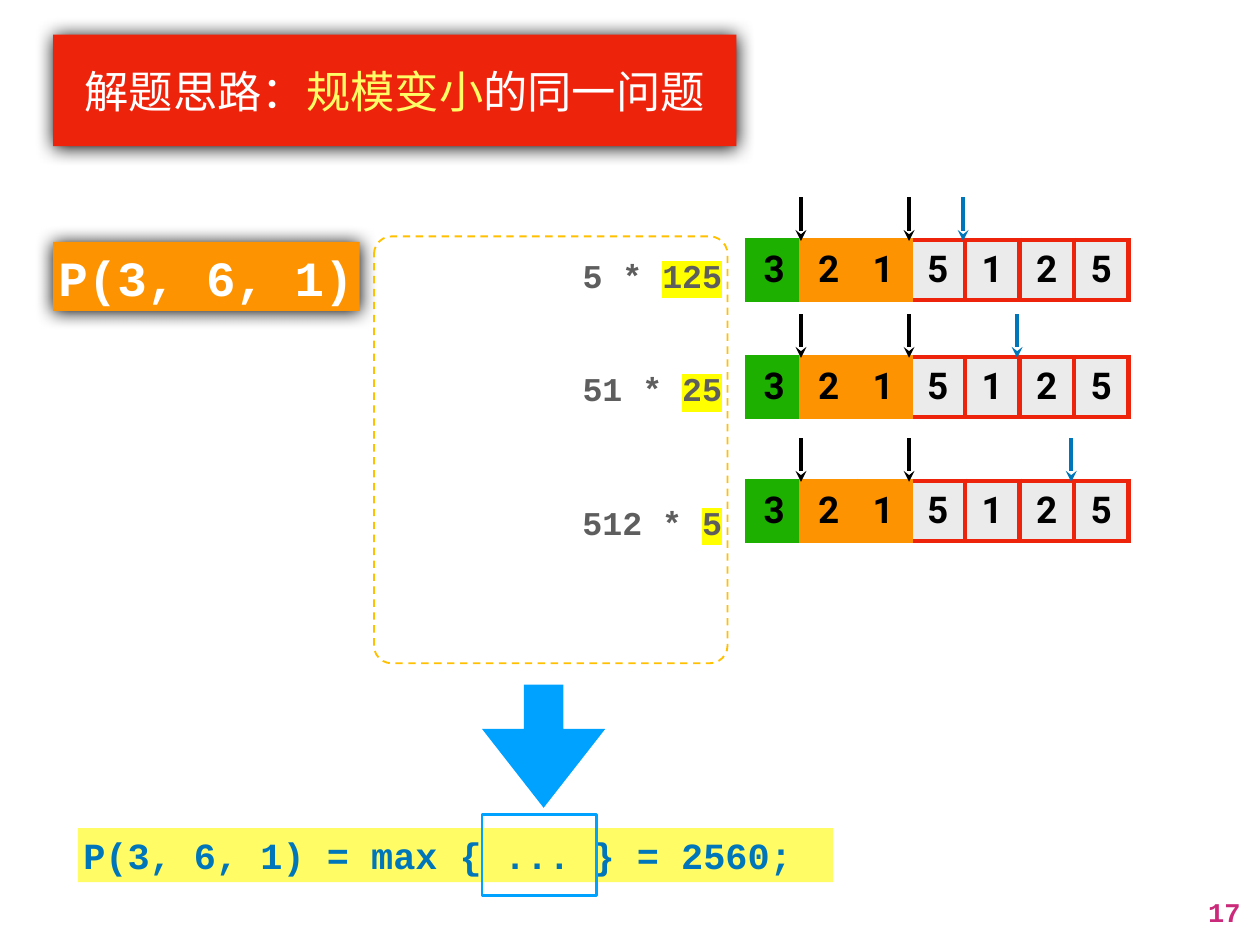
import pptx
import pptx.util
import pptx.dml.color
import pptx.enum.dml
import pptx.enum.shapes
import pptx.enum.text
import pptx.oxml
import pptx.oxml.ns

Pt = pptx.util.Pt
RGB = pptx.dml.color.RGBColor
Shape = pptx.enum.shapes.MSO_SHAPE
Align = pptx.enum.text.PP_ALIGN
Anchor = pptx.enum.text.MSO_ANCHOR
qn = pptx.oxml.ns.qn

RED = RGB(0xEE, 0x23, 0x0C)
ORANGE = RGB(0xFE, 0x93, 0x01)
GREEN = RGB(0x1E, 0xB0, 0x01)
PALE = RGB(0xEB, 0xEB, 0xEB)
LEMON = RGB(0xFF, 0xFC, 0x66)
YELLOW = RGB(0xFF, 0xFF, 0x00)
GOLD = RGB(0xFF, 0xC0, 0x00)
SKY = RGB(0x00, 0xA2, 0xFF)
BLUE = RGB(0x00, 0x76, 0xBA)
GREY = RGB(0x5E, 0x5E, 0x5E)
PINK = RGB(0xCB, 0x2A, 0x7A)
BLACK = RGB(0, 0, 0)
WHITE = RGB(0xFF, 0xFF, 0xFF)

CODE, SANS = "Courier New", "Roboto"
TITLE = [("解题思路：", WHITE), ("规模变小", LEMON), ("的同一问题", WHITE)]
STATE = "P(3, 6, 1)"
ANSWER = "P(3, 6, 1) = max { ... } = 2560;"
PAGE = "17"
DIGITS = "3215125"
FILLS = [GREEN] + [ORANGE] * 2 + [PALE] * 4
EDGES = ([(GREEN, ORANGE, GREEN, GREEN)] + [(ORANGE,) * 4] * 2
         + [(ORANGE, RED, RED, RED)] + [(RED,) * 4] * 3)
CUTS = [1, 3]
SPLITS = [
    ("5 * ", "125", 25.59, 25.4, 4),
    ("51 * ", "25", 37.58, 37.77, 5),
    ("512 * ", "5", 51.73, 50.89, 6),
]
ROW_LEFT, ROW_WIDE, ROW_HIGH = 59.28, 30.31, 6.37
STEP, DROP = 4.29, 4.5

deck = pptx.Presentation()
deck.slide_width = pptx.util.Inches(14.22)
deck.slide_height = pptx.util.Inches(10.67)
slide = deck.slides.add_slide(deck.slide_layouts[5])
shapes = slide.shapes


def across(share):
    return round(deck.slide_width * share / 100)


def down(share):
    return round(deck.slide_height * share / 100)


def place(left, top, wide, high):
    return across(left), down(top), across(wide), down(high)


def node(xml):
    return pptx.oxml.parse_xml(xml.replace(
        ">", ' xmlns:a="http://schemas.openxmlformats.org/drawingml/2006/main">', 1))


def write(frame, parts, size, font, bold=True, align=Align.LEFT, pad=0.06, wrap=True):
    frame.word_wrap = wrap
    frame.auto_size = pptx.enum.text.MSO_AUTO_SIZE.NONE
    inset = pptx.util.Inches(pad)
    frame.margin_left = frame.margin_right = inset
    frame.margin_top = frame.margin_bottom = inset
    para = frame.paragraphs[0]
    para.alignment = align
    for text, color in parts:
        run = para.add_run()
        run.text = text
        run.font.size, run.font.name, run.font.bold = Pt(size), font, bold
        run.font.color.rgb = color
    return para


def glow(shape):
    shape._element.spPr.append(node(
        '<a:effectLst><a:outerShdw blurRad="190500" dist="8890" dir="5400000" '
        'algn="ctr" rotWithShape="0"><a:srgbClr val="000000"/>'
        '</a:outerShdw></a:effectLst>'))


def block(kind, spot, fill=None, line=None, width=1):
    shape = shapes.add_shape(kind, *place(*spot))
    if fill is None:
        shape.fill.background()
    else:
        shape.fill.solid()
        shape.fill.fore_color.rgb = fill
    if line is None:
        shape.line.fill.background()
    else:
        shape.line.color.rgb = line
        shape.line.width = Pt(width)
    return shape


def point(left, top, color):
    arrow = shapes.add_connector(
        pptx.enum.shapes.MSO_CONNECTOR.STRAIGHT,
        across(left), down(top - DROP), across(left), down(top + 0.1))
    arrow.line.color.rgb = color
    arrow.line.width = Pt(3)
    arrow.line._get_or_add_ln().append(node('<a:tailEnd type="stealth"></a:tailEnd>'))
    arrow._element.spPr.append(node('<a:effectLst></a:effectLst>'))


def digits(top):
    grid = shapes.add_table(
        1, len(DIGITS), *place(ROW_LEFT, top, ROW_WIDE, ROW_HIGH)).table
    for col, digit in enumerate(DIGITS):
        cell = grid.cell(0, col)
        write(cell.text_frame, [(digit, BLACK)], 30, SANS, align=Align.CENTER)
        cell.vertical_anchor = Anchor.MIDDLE
        inset = pptx.util.Inches(0.06)
        cell.margin_left = cell.margin_right = inset
        cell.margin_top = cell.margin_bottom = inset
        cell.fill.solid()
        cell.fill.fore_color.rgb = FILLS[col]
        props = cell._tc.get_or_add_tcPr()
        for spot, (side, color) in enumerate(zip("LRTB", EDGES[col])):
            props.insert(spot, node(
                f'<a:ln{side} w="50800"><a:solidFill><a:srgbClr val="{color}"/>'
                f'</a:solidFill></a:ln{side}>'))


def split(head, tail, top):
    box = shapes.add_textbox(*place(28.55, top, 29.18, 5.9))
    para = write(box.text_frame, [(head, GREY), (tail, GREY)], 27, CODE,
                 align=Align.RIGHT)
    para.line_spacing = 1.2
    ink = para.runs[1]._r.rPr.find(qn("a:solidFill"))
    ink.addnext(node(f'<a:highlight><a:srgbClr val="{YELLOW}"/></a:highlight>'))


title = shapes.title
title.left, title.top, title.width, title.height = place(4.22, 3.66, 54.22, 11.81)
title.fill.solid()
title.fill.fore_color.rgb = RED
glow(title)
write(title.text_frame, TITLE, 36, SANS, False, Align.CENTER, 0.07)
title.text_frame.vertical_anchor = Anchor.MIDDLE

page = shapes.add_textbox(*place(95.29, 94.1, 3.66, 4.69))
write(page.text_frame, [(PAGE, PINK)], 22, CODE, align=Align.RIGHT, pad=0.07, wrap=False)

state = block(Shape.RECTANGLE, (4.22, 25.59, 24.33, 7.31), ORANGE)
glow(state)
write(state.text_frame, [(STATE, WHITE)], 40, CODE, wrap=False)

arrow = block(Shape.DOWN_ARROW, (38.26, 72.45, 9.77, 13.03), SKY)
arrow.shadow.inherit = False
arrow.adjustments[0], arrow.adjustments[1] = 0.32, 0.64

answer = block(Shape.RECTANGLE, (6.19, 87.63, 59.92, 5.72), LEMON)
answer.shadow.inherit = False
write(answer.text_frame, [(ANSWER, BLUE)], 30, CODE)

for head, tail, top, row, cut in SPLITS:
    split(head, tail, top)
    digits(row)
    for col in CUTS:
        point(ROW_LEFT + col * STEP, row, BLACK)
    point(ROW_LEFT + cut * STEP, row, BLUE)

slot = block(Shape.RECTANGLE, (38.26, 86.22, 9.07, 8.53), line=SKY, width=2.25)
slot.shadow.inherit = False

frame = block(Shape.ROUNDED_RECTANGLE, (29.68, 25.02, 28.06, 45.17), line=GOLD, width=1.5)
frame.shadow.inherit = False
frame.adjustments[0] = 0.05
frame.line.dash_style = pptx.enum.dml.MSO_LINE.DASH

deck.save("out.pptx")
